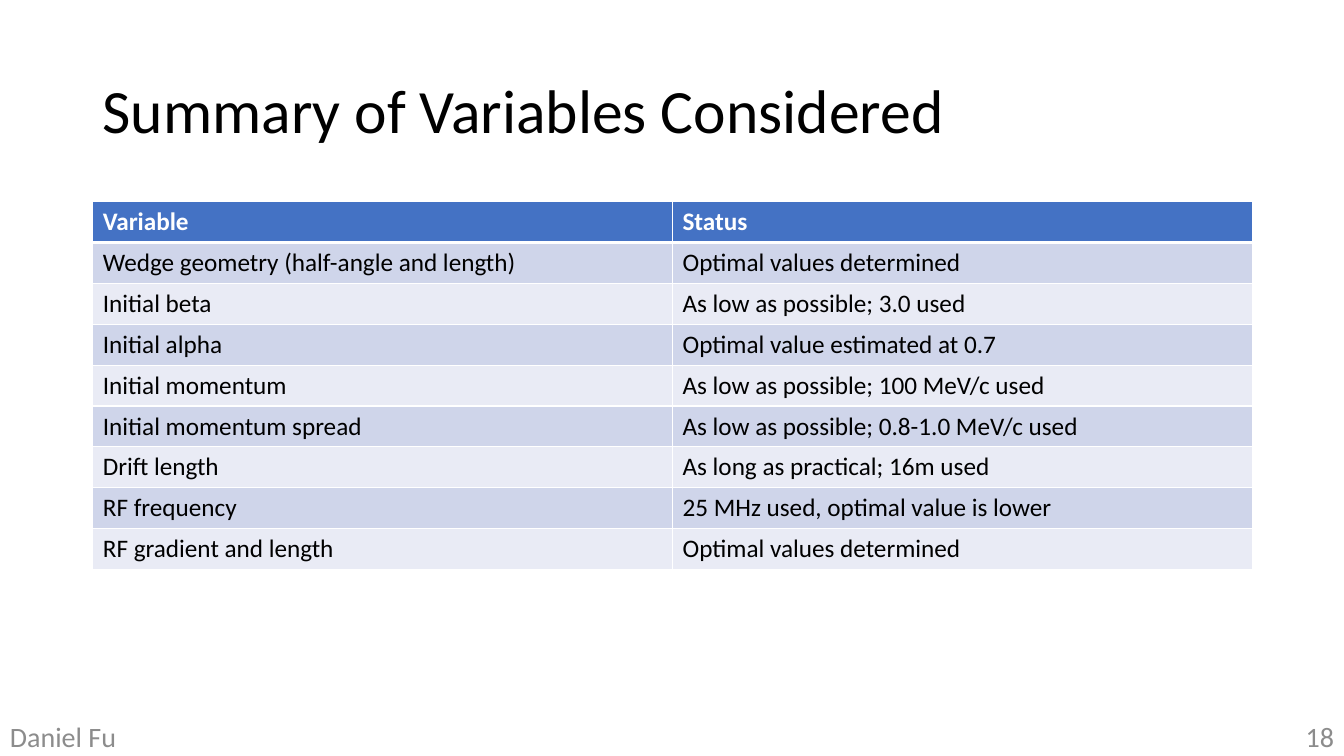
"""Build a slide with a table that sums up the variables considered."""
from dataclasses import dataclass

from lxml import etree
from pptx import Presentation
from pptx.dml.color import RGBColor
from pptx.enum.text import MSO_ANCHOR, PP_ALIGN
from pptx.oxml.ns import qn
from pptx.util import Inches, Pt

LEFT, RIGHT = PP_ALIGN.LEFT, PP_ALIGN.RIGHT
MIDDLE = MSO_ANCHOR.MIDDLE

TITLE = "Summary of Variables Considered"
AUTHOR = "Daniel Fu"
PAGE = "18"
ROWS = [
    ("Variable", "Status"),
    ("Wedge geometry (half-angle and length)", "Optimal values determined"),
    ("Initial beta", "As low as possible; 3.0 used"),
    ("Initial alpha", "Optimal value estimated at 0.7"),
    ("Initial momentum", "As low as possible; 100 MeV/c used"),
    ("Initial momentum spread", "As low as possible; 0.8-1.0 MeV/c used"),
    ("Drift length", "As long as practical; 16m used"),
    ("RF frequency", "25 MHz used, optimal value is lower"),
    ("RF gradient and length", "Optimal values determined"),
]


@dataclass(frozen=True)
class Theme:
    font: str = "Calibri"
    text: str = "000000"
    muted: str = "8C8C8C"
    white: str = "FFFFFF"
    header: str = "4472C4"
    bands: tuple = ("E9EBF5", "CFD5EA")
    title_size: int = 44
    body_size: int = 18
    footer_size: int = 20
    rule: int = 1
    header_rule: int = 3


T = Theme()
W, H = 13.33, 7.5
MARGIN = 0.92
CONTENT_W = 11.5
TABLE_TOP = 2
ROW_H = 3.65 / len(ROWS)
FOOTER_H = 0.4
FOOTER_TOP = H - FOOTER_H
PAGE_W, AUTHOR_W = 3, 1.51


def style(p, size, color, bold=False):
    p.font.name = T.font
    p.font.size = Pt(size)
    p.font.bold = bold
    p.font.color.rgb = RGBColor.from_string(color)


def add_text(s, text, box, size, color, align=LEFT, spacing=1.0):
    tf = s.shapes.add_textbox(*map(Inches, box)).text_frame
    tf.word_wrap = True
    tf.vertical_anchor = MIDDLE
    p = tf.paragraphs[0]
    p.text = text
    p.alignment = align
    p.line_spacing = spacing
    style(p, size, color)


def set_borders(cell, bottom, top):
    tcPr = cell._tc.get_or_add_tcPr()
    widths = {"a:lnL": T.rule, "a:lnR": T.rule, "a:lnT": top, "a:lnB": bottom}
    for i, (tag, width) in enumerate(widths.items()):
        ln = etree.Element(qn(tag), w=str(Pt(width)))
        fill = etree.SubElement(ln, qn("a:solidFill"))
        etree.SubElement(fill, qn("a:srgbClr"), val=T.white)
        tcPr.insert(i, ln)


def add_summary(s):
    cols = len(ROWS[0])
    box = (MARGIN, TABLE_TOP, CONTENT_W, ROW_H * len(ROWS))
    table = s.shapes.add_table(len(ROWS), cols, *map(Inches, box)).table
    for i, row in enumerate(ROWS):
        head = i == 0
        for j, text in enumerate(row):
            cell = table.cell(i, j)
            cell.text = text
            style(cell.text_frame.paragraphs[0], T.body_size,
                  T.white if head else T.text, head)
            cell.fill.solid()
            cell.fill.fore_color.rgb = RGBColor.from_string(
                T.header if head else T.bands[i % 2])
            set_borders(cell, T.header_rule if head else T.rule,
                        T.header_rule if i == 1 else T.rule)


def main():
    prs = Presentation()
    prs.slide_width, prs.slide_height = Inches(W), Inches(H)
    s = prs.slides.add_slide(prs.slide_layouts[6])
    add_text(s, TITLE, (MARGIN, 0.4, CONTENT_W, 1.45), T.title_size, T.text,
             spacing=0.9)
    add_summary(s)
    add_text(s, PAGE, (W - PAGE_W, FOOTER_TOP, PAGE_W, FOOTER_H),
             T.footer_size, T.muted, RIGHT)
    add_text(s, AUTHOR, (0, FOOTER_TOP, AUTHOR_W, FOOTER_H),
             T.footer_size, T.muted)
    prs.save("out.pptx")


if __name__ == "__main__":
    main()
